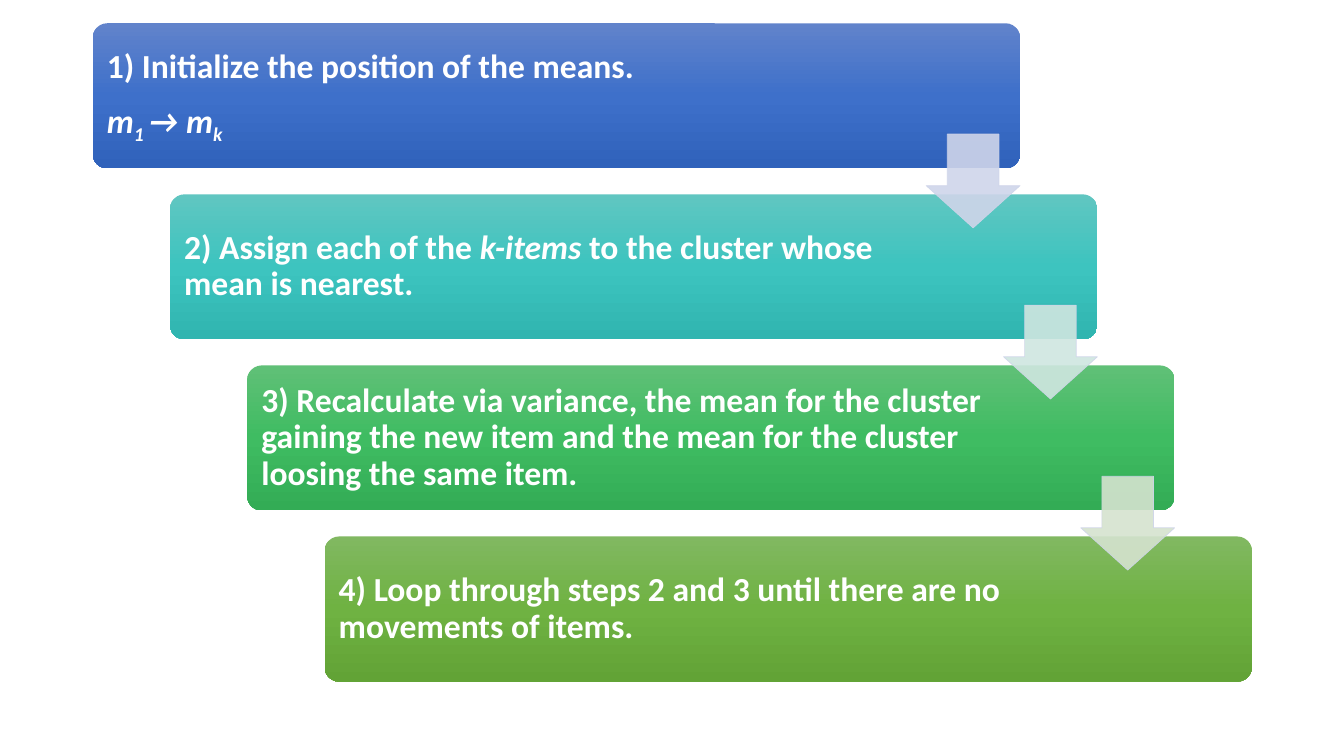
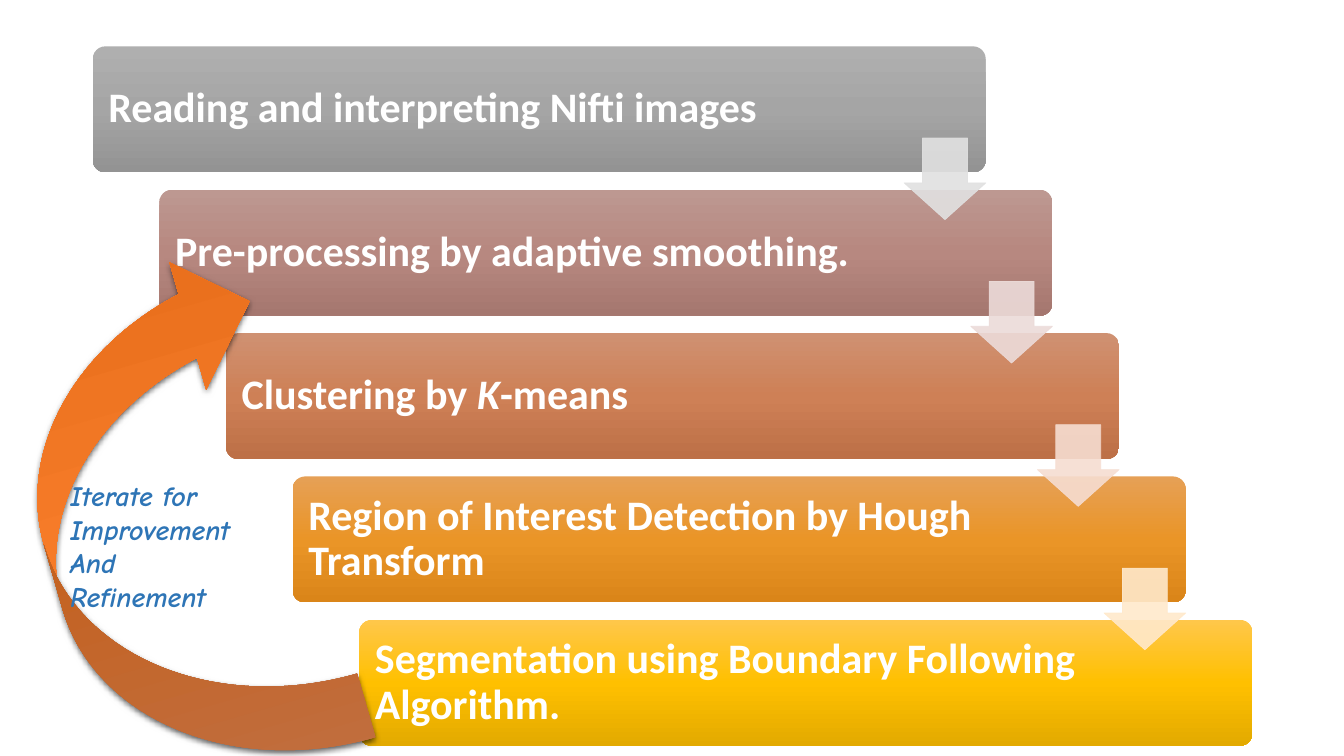
from lxml import etree
from pptx import Presentation
from pptx import util as u
from pptx.dml.color import RGBColor
from pptx.enum import shapes, text
from pptx.oxml import ns

# Content: each step is a list of paragraphs, each paragraph a list of (text, style)
MEANS_STEPS = [
    [[("1) Initialize the position of the means.", "")],
     [("m", "italic"), ("1 ", "subscript"), ("→ m", "italic"), ("k", "subscript")]],
    [[("2) Assign each of the ", ""), ("k-items", "italic"),
      (" to the cluster whose mean is nearest.", "")]],
    [[("3) Recalculate via variance, the mean for the cluster gaining the new item "
       "and the mean for the cluster loosing the same item.", "")]],
    [[("4) Loop through steps 2 and 3 until there are no movements of items.", "")]],
]
PIPELINE_STEPS = [
    [[("Reading and interpreting Nifti images", "")]],
    [[("Pre-processing by adaptive smoothing.", "")]],
    [[("Clustering by ", ""), ("K", "italic"), ("-means", "")]],
    [[("Region of Interest Detection by Hough Transform", "")]],
    [[("Segmentation using Boundary Following Algorithm.", "")]],
]
LOOP_NOTE = ["Iterate for Improvement", "And Refinement"]

# Shared look
COLORS = {"step text": "FFFFFF", "note": "2E75B6", "shadow": "000000",
          "means arrow line": "CFD5EA"}
MEANS_GRADIENTS = [
    ("6183CB", "3E70CA", "3062BB"), ("60C6C1", "3DC4BF", "30B5B0"),
    ("60C077", "3FBC62", "33AC55"), ("81B861", "6FB242", "62A336")]
PIPELINE_GRADIENTS = [
    ("AFAFAF", "A5A5A5", "939393"), ("BD9891", "B78880", "A5776F"),
    ("CF9172", "CE8056", "BD7047"), ("E6A056", "EA9527", "DA8519"),
    ("FFC74B", "FFC000", "E3AA00")]
LOOP_GRADIENT = ("F18C57", "F67B28", "E56C19")
MEANS_ARROWS = ["CFD5EA", "CFE6E0", "D5E3CF"]
PIPELINE_ARROWS = ["E1E1E1", "ECDBD9", "F6DDD1", "FFE9CB"]
STEP_FONT, NOTE_FONT = "Calibri", "Comic Neue"
FIRST_LEFT = 66.24

# Stair layouts, in points
MEANS_STAIR = dict(top=16.6, width=662.4, height=103.6, across=55.2, down=122.2,
                   arrow=67, arrow_drop=79.2, size=24, inset=7.2, right_inset=130)
PIPELINE_STAIR = dict(top=33.1, width=637.9, height=90, across=47.6, down=102.4,
                      arrow=58.3, arrow_drop=65.5, size=30, inset=8.6, right_inset=114)


def add_shape(slide, kind, left, top, width, height, adjustments=()):
    shape = slide.shapes.add_shape(kind, *(u.Pt(v) for v in (left, top, width, height)))
    shape.shadow.inherit = False
    for index, value in enumerate(adjustments):
        shape.adjustments[index] = value
    return shape


def fill_gradient(shape, colors):
    """Three vertical stops, from top to bottom."""
    shape.line.fill.background()
    shape.fill.gradient()
    shape.fill.gradient_angle = 270
    stops = shape._element.spPr.find(".//" + ns.qn("a:gsLst"))
    for stop in list(stops):
        stops.remove(stop)
    for position, color in zip((0, 50000, 100000), colors):
        stop = etree.SubElement(stops, ns.qn("a:gs"), pos=str(position))
        etree.SubElement(stop, ns.qn("a:srgbClr"), val=color)


def fill_translucent(shape, color, line_color, opacity=90):
    shape.fill.solid()
    shape.fill.fore_color.rgb = RGBColor.from_string(color)
    shape.line.color.rgb = RGBColor.from_string(line_color)
    shape.line.width = u.Pt(0.5)
    for element in shape._element.spPr.iter(ns.qn("a:srgbClr")):
        etree.SubElement(element, ns.qn("a:alpha"), val=str(opacity * 1000))


def add_run(paragraph, words, font, size, color, italic=False):
    run = paragraph.add_run()
    run.text = words
    run.font.name, run.font.size = font, u.Pt(size)
    run.font.bold, run.font.italic = True, italic
    run.font.color.rgb = RGBColor.from_string(color)
    return run


def paragraphs_for(frame, lines):
    """Pair each line of content with a paragraph of the frame."""
    for index, line in enumerate(lines):
        yield (frame.add_paragraph() if index else frame.paragraphs[0]), line


def write_step(card, lines, stair):
    frame = card.text_frame
    frame.word_wrap = True
    frame.vertical_anchor = text.MSO_ANCHOR.MIDDLE
    frame.margin_left = frame.margin_top = frame.margin_bottom = u.Pt(stair["inset"])
    frame.margin_right = u.Pt(stair["right_inset"])
    for paragraph, line in paragraphs_for(frame, lines):
        paragraph.alignment = text.PP_ALIGN.LEFT
        paragraph.line_spacing = 0.9
        paragraph.space_after = u.Pt(round(stair["size"] * 0.42, 1))
        for words, style in line:
            run = add_run(paragraph, words, STEP_FONT, stair["size"],
                          COLORS["step text"], style != "")
            if style == "subscript":
                run.font._element.set("baseline", "-25000")


def add_stair(slide, steps, gradients, arrows, stair, arrow_line=None):
    for index, (lines, colors) in enumerate(zip(steps, gradients)):
        card = add_shape(slide, shapes.MSO_SHAPE.ROUNDED_RECTANGLE,
                         FIRST_LEFT + index * stair["across"],
                         stair["top"] + index * stair["down"],
                         stair["width"], stair["height"], [0.1])
        fill_gradient(card, colors)
        write_step(card, lines, stair)
    # Each arrow ends flush with the right edge of the card it leaves
    size = stair["arrow"]
    for index, color in enumerate(arrows):
        right = FIRST_LEFT + index * stair["across"] + stair["width"]
        top = stair["top"] + index * stair["down"] + stair["arrow_drop"]
        arrow = add_shape(slide, shapes.MSO_SHAPE.DOWN_ARROW,
                          right - size, top, size, size, [0.55, 0.45])
        fill_translucent(arrow, color, arrow_line or color)


def add_loop_arrow(slide):
    arrow = add_shape(slide, shapes.MSO_SHAPE.CURVED_LEFT_ARROW, 31, 188.6, 189.4, 371.5)
    arrow.rotation = 163.9
    fill_gradient(arrow, LOOP_GRADIENT)
    effects = arrow._element.spPr.find(ns.qn("a:effectLst"))
    shadow = etree.SubElement(effects, ns.qn("a:outerShdw"), blurRad=str(u.Pt(4.5)),
                              dist=str(u.Pt(1.5)), dir="5400000", rotWithShape="0")
    color = etree.SubElement(shadow, ns.qn("a:srgbClr"), val=COLORS["shadow"])
    etree.SubElement(color, ns.qn("a:alpha"), val="63000")


def add_loop_note(slide):
    box = slide.shapes.add_textbox(u.Pt(43.2), u.Pt(338.4), u.Pt(146.2), u.Pt(126))
    box.text_frame.word_wrap = True
    for paragraph, line in paragraphs_for(box.text_frame, LOOP_NOTE):
        add_run(paragraph, line, NOTE_FONT, 20, COLORS["note"], True)


presentation = Presentation()
presentation.slide_width, presentation.slide_height = u.Pt(960), u.Pt(540)
blank = presentation.slide_layouts[6]

# Slide 1: the k-means steps
means_slide = presentation.slides.add_slide(blank)
add_stair(means_slide, MEANS_STEPS, MEANS_GRADIENTS, MEANS_ARROWS, MEANS_STAIR,
          COLORS["means arrow line"])

# Slide 2: the image pipeline with its loop back
pipeline_slide = presentation.slides.add_slide(blank)
add_stair(pipeline_slide, PIPELINE_STEPS, PIPELINE_GRADIENTS, PIPELINE_ARROWS,
          PIPELINE_STAIR)
add_loop_arrow(pipeline_slide)
add_loop_note(pipeline_slide)

presentation.save("out.pptx")
